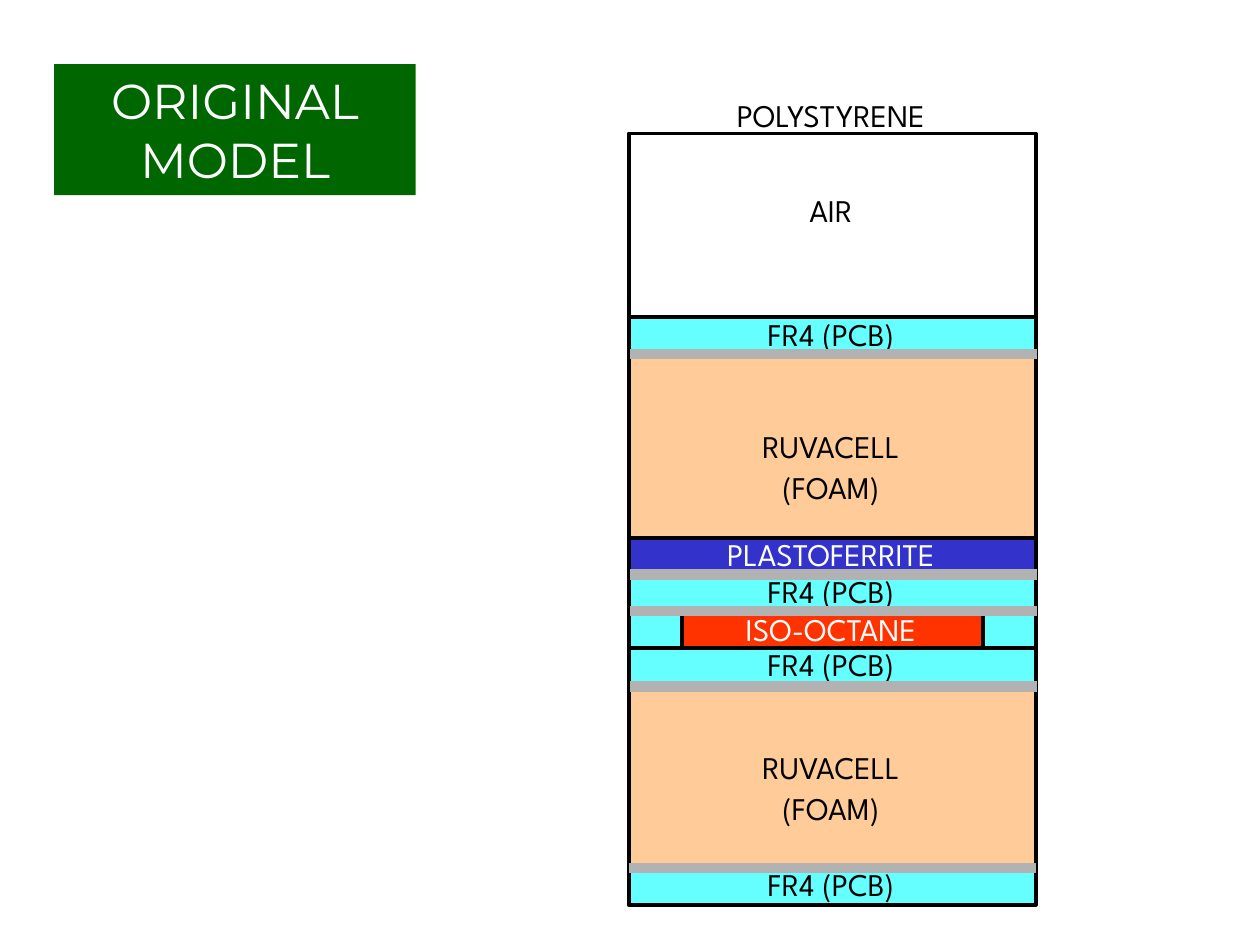
from pptx import Presentation
from pptx import util as u
from pptx.dml.color import RGBColor
from pptx.enum import shapes, text
from pptx.oxml.ns import qn
from lxml import etree


def rgb(value):
    return RGBColor.from_string(value)


def inches(*values):
    return [u.Inches(v) for v in values]


class Deck:
    label = {"size": u.Pt(18), "name": "League Spartan"}
    title = {"size": u.Pt(28), "name": "Montserrat"}
    frame = {"word_wrap": True, "auto_size": text.MSO_AUTO_SIZE.SHAPE_TO_FIT_TEXT,
             "vertical_anchor": text.MSO_ANCHOR.TOP}
    second = {"line_spacing": 0.5, "space_before": u.Pt(11.2)}

    def __init__(self, width, height):
        self.prs = Presentation()
        self.prs.slide_width, self.prs.slide_height = inches(width, height)
        self.s = self.prs.slides.add_slide(self.prs.slide_layouts[6])

    def apply(self, target, values):
        for name, value in values.items():
            setattr(target, name, value)

    def add_lines(self, sp, lines, font, colour):
        tf = sp.text_frame
        self.apply(tf, self.frame)
        for i, line in enumerate(lines):
            p = tf.add_paragraph() if i else tf.paragraphs[0]
            p.alignment = text.PP_ALIGN.CENTER
            if i:
                self.apply(p, self.second)
            r = p.add_run()
            r.text = line
            self.apply(r.font, font)
            r.font.color.rgb = rgb(colour)

    def box(self, parent, at, fill, outline=None):
        sp = parent.shapes.add_shape(shapes.MSO_SHAPE.RECTANGLE, *inches(*at))
        sp.shadow.inherit = False
        sp.fill.solid()
        sp.fill.fore_color.rgb = rgb(fill)
        if outline:
            sp.line.color.rgb = rgb(outline)
            sp.line.width = u.Pt(2.25)
        else:
            sp.line.fill.background()
        return sp

    def caption(self, at, lines, colour):
        sp = self.s.shapes.add_textbox(*inches(*at))
        self.add_lines(sp, lines, self.label, colour)

    def rule(self, x, y, width, colour, weight):
        sp = self.s.shapes.add_connector(
            shapes.MSO_CONNECTOR.STRAIGHT, *inches(x, y, x + width, y))
        sp.line.color.rgb = rgb(colour)
        sp.line.width = u.Pt(weight)
        etree.SubElement(sp._element.spPr, qn("a:effectLst"))


BLACK, WHITE = "000000", "FFFFFF"
CYAN, PEACH, BLUE, RED, GREY = "66FFFF", "FFCC99", "3333CC", "FF3300", "B2B2B2"
LEFT, TOP, WIDTH = 4.99, 1.06, 3.23
THICK, THIN, SIDE = 1.46, 0.29, 0.42
PCB = ["FR4 (PCB)"]
FOAM = ["RUVACELL", "(FOAM)"]

LAYERS = [
    (THICK, WHITE, ["AIR"], BLACK, 0.41),
    (THIN, CYAN, PCB, BLACK, -0.07),
    (THICK, PEACH, FOAM, BLACK, 0.53),
    (THIN, BLUE, ["PLASTOFERRITE"], WHITE, -0.07),
    (THIN, CYAN, PCB, BLACK, -0.07),
    (THIN, RED, ["ISO-OCTANE"], WHITE, -0.06),
    (THIN, CYAN, PCB, BLACK, -0.07),
    (THICK, PEACH, FOAM, BLACK, 0.46),
    (THIN, CYAN, PCB, BLACK, -0.07),
]
FOILS = [(5, 2.81), (5, 4.56), (5, 4.85), (5, 5.45), (LEFT, 6.89)]


def main():
    deck = Deck(10, 7.5)
    stack = deck.s.shapes.add_group_shape()
    captions = [(0.71, ["POLYSTYRENE"], BLACK)]
    y = TOP
    for height, fill, lines, colour, offset in LAYERS:
        if fill == RED:
            deck.box(stack, (LEFT + SIDE, y, WIDTH - 2 * SIDE, height), fill, BLACK)
            for x in (LEFT, LEFT + WIDTH - SIDE):
                deck.box(stack, (x, y, SIDE, height), CYAN, BLACK)
        else:
            deck.box(stack, (LEFT, y, WIDTH, height), fill, BLACK)
        captions.append((y + offset, lines, colour))
        y += height

    for top, lines, colour in captions:
        height = 0.4 if len(lines) == 1 else 0.71
        deck.caption((4.96, top, 3.27, height), lines, colour)
    for x, foil_y in FOILS:
        deck.rule(x, foil_y, WIDTH, GREY, 6)

    heading = deck.box(deck.s, (0.43, 0.51, 2.87, 1.04), "006600")
    deck.add_lines(heading, ["ORIGINAL MODEL"], deck.title, WHITE)
    deck.prs.save("out.pptx")


if __name__ == "__main__":
    main()
